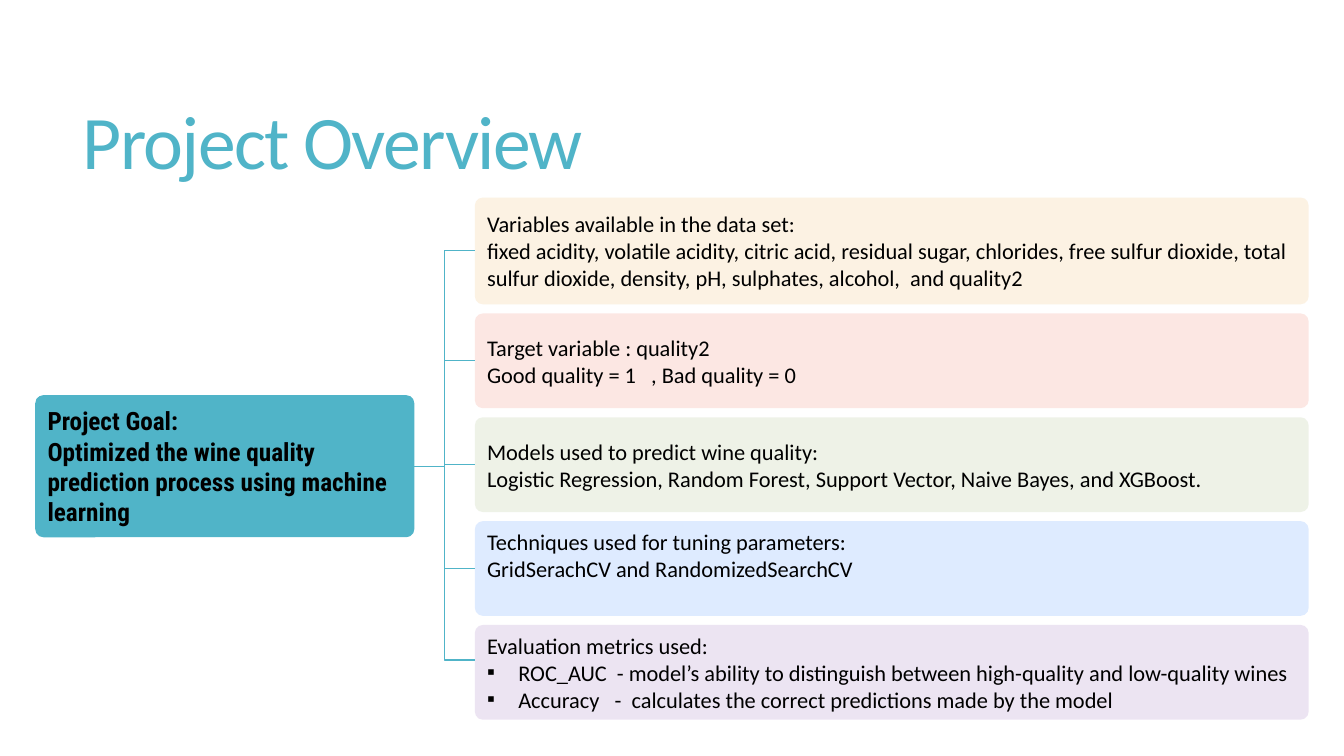
from dataclasses import dataclass

from lxml.etree import SubElement
from pptx import Presentation
from pptx.dml.color import RGBColor
from pptx.enum.shapes import MSO_CONNECTOR, MSO_SHAPE
from pptx.enum.text import MSO_ANCHOR, MSO_AUTO_SIZE, PP_ALIGN
from pptx.oxml.ns import qn
from pptx.util import Inches, Pt


@dataclass(frozen=True)
class Theme:
    accent: str = "50B4C8"
    ink: str = "000000"
    body_font: str = "Calibri"
    goal_font: str = "Roboto Condensed"
    title_size: int = 54
    goal_size: int = 18
    body_size: int = 16
    tint: int = 13  # percent opacity of the panels
    corner: float = 0.08  # radius in inches
    inset: float = 0.1
    line_width: float = 0.75


@dataclass(frozen=True)
class Panel:
    color: str
    lines: tuple
    height: float = 0.94
    bullets: int = 0  # how many closing lines are bulleted
    lift: float = 0  # extra space under the text
    port: float = 0.5  # where the branch meets the left edge


PANELS = (
    Panel("E99B27", (
        "Variables available in the data set:",
        "fixed acidity, volatile acidity, citric acid, residual sugar, "
        "chlorides, free sulfur dioxide, total sulfur dioxide, density, pH, "
        "sulphates, alcohol,  and quality2"), height=1.06),
    Panel("EA4827", (
        "Target variable : quality2",
        "Good quality = 1   , Bad quality = 0")),
    Panel("7E9C4C", (
        "Models used to predict wine quality:",
        "Logistic Regression, Random Forest, Support Vector, Naive Bayes, "
        "and XGBoost.")),
    Panel("0066FF", (
        "Techniques used for tuning parameters:",
        "GridSerachCV and RandomizedSearchCV"), lift=0.27),
    Panel("7030A0", (
        "Evaluation metrics used:",
        "ROC_AUC  - model’s ability to distinguish between high-quality "
        "and low-quality wines",
        "Accuracy   -  calculates the correct predictions made by the model"),
        bullets=2, port=0.37),
)
GOAL = ("Project Goal:",
        "Optimized the wine quality prediction process using machine learning")

GOAL_BOX = (0.35, 3.92, 3.76, 1.41)
PANEL_LEFT, PANEL_TOP, PANEL_WIDTH, PANEL_GAP = 4.71, 1.96, 8.27, 0.09


class SlideBuilder:
    def __init__(self, slide, theme):
        self.slide, self.theme = slide, theme

    def style_run(self, r, size, color, font, bold=False):
        r.font.size, r.font.name, r.font.bold = Pt(size), font, bold
        r.font.color.rgb = RGBColor.from_string(color)

    def title(self, text, left, top, width, height):
        s, t = self.slide.shapes.title, self.theme
        s.left, s.top, s.width, s.height = map(
            Inches, (left, top, width, height))
        tf = s.text_frame
        tf.text = text
        tf.auto_size = MSO_AUTO_SIZE.NONE
        tf.vertical_anchor = MSO_ANCHOR.MIDDLE
        p = tf.paragraphs[0]
        p.alignment, p.line_spacing = PP_ALIGN.LEFT, 0.85
        r = p.runs[0]
        self.style_run(r, t.title_size, t.accent, t.body_font)
        r.font._element.set("spc", "-120")

    def card(self, box, color, lines, size, font, bold=False, opacity=100):
        """Add a rounded box with one paragraph per line of text."""
        t = self.theme
        s = self.slide.shapes.add_shape(
            MSO_SHAPE.ROUNDED_RECTANGLE, *map(Inches, box))
        s.adjustments[0] = t.corner / min(box[2:])
        s.shadow.inherit = False
        s.line.fill.background()
        s.fill.solid()
        s.fill.fore_color.rgb = RGBColor.from_string(color)
        if opacity < 100:
            clr = s.fill._xPr.find(".//" + qn("a:srgbClr"))
            SubElement(clr, qn("a:alpha"), val=str(opacity * 1000))
        tf = s.text_frame
        tf.word_wrap = True
        tf.vertical_anchor = MSO_ANCHOR.MIDDLE
        tf.margin_left = tf.margin_right = Inches(t.inset)
        tf.margin_top = tf.margin_bottom = Inches(t.inset / 2)
        tf.text = "\n".join(lines)
        for p in tf.paragraphs:
            p.alignment = PP_ALIGN.LEFT
            self.style_run(p.runs[0], size, t.ink, font, bold)
        return s

    def bullet(self, p, indent=0.31):
        pPr = p._p.get_or_add_pPr()
        pPr.set("marL", str(Inches(indent)))
        pPr.set("indent", str(-Inches(indent)))
        SubElement(pPr, qn("a:buFont"), typeface="Arial")
        SubElement(pPr, qn("a:buChar"), char="▪")

    def panel(self, panel, top):
        t = self.theme
        s = self.card((PANEL_LEFT, top, PANEL_WIDTH, panel.height),
                      panel.color, panel.lines, t.body_size, t.body_font,
                      opacity=t.tint)
        tf = s.text_frame
        tf.margin_bottom += Inches(panel.lift)
        for p in tf.paragraphs[len(panel.lines) - panel.bullets:]:
            self.bullet(p)

    def branch(self, x1, y1, x2, y2):
        c = self.slide.shapes.add_connector(
            MSO_CONNECTOR.ELBOW, *map(Inches, (x1, y1, x2, y2)))
        c.line.color.rgb = RGBColor.from_string(self.theme.accent)
        c.line.width = Pt(self.theme.line_width)
        SubElement(c._element.spPr, qn("a:effectLst"))


def main():
    prs = Presentation()
    prs.slide_width, prs.slide_height = Inches(13.33), Inches(7.5)
    theme = Theme()
    sb = SlideBuilder(prs.slides.add_slide(prs.slide_layouts[5]), theme)
    sb.title("Project Overview", 0.72, 0.55, 11.78, 1.81)
    sb.card(GOAL_BOX, theme.accent, GOAL, theme.goal_size, theme.goal_font,
            bold=True)

    left, goal_top, width, height = GOAL_BOX
    top = PANEL_TOP
    for panel in PANELS:
        sb.panel(panel, top)
        sb.branch(left + width, goal_top + height / 2,
                  PANEL_LEFT, top + panel.height * panel.port)
        top += panel.height + PANEL_GAP
    prs.save("out.pptx")


if __name__ == "__main__":
    main()
